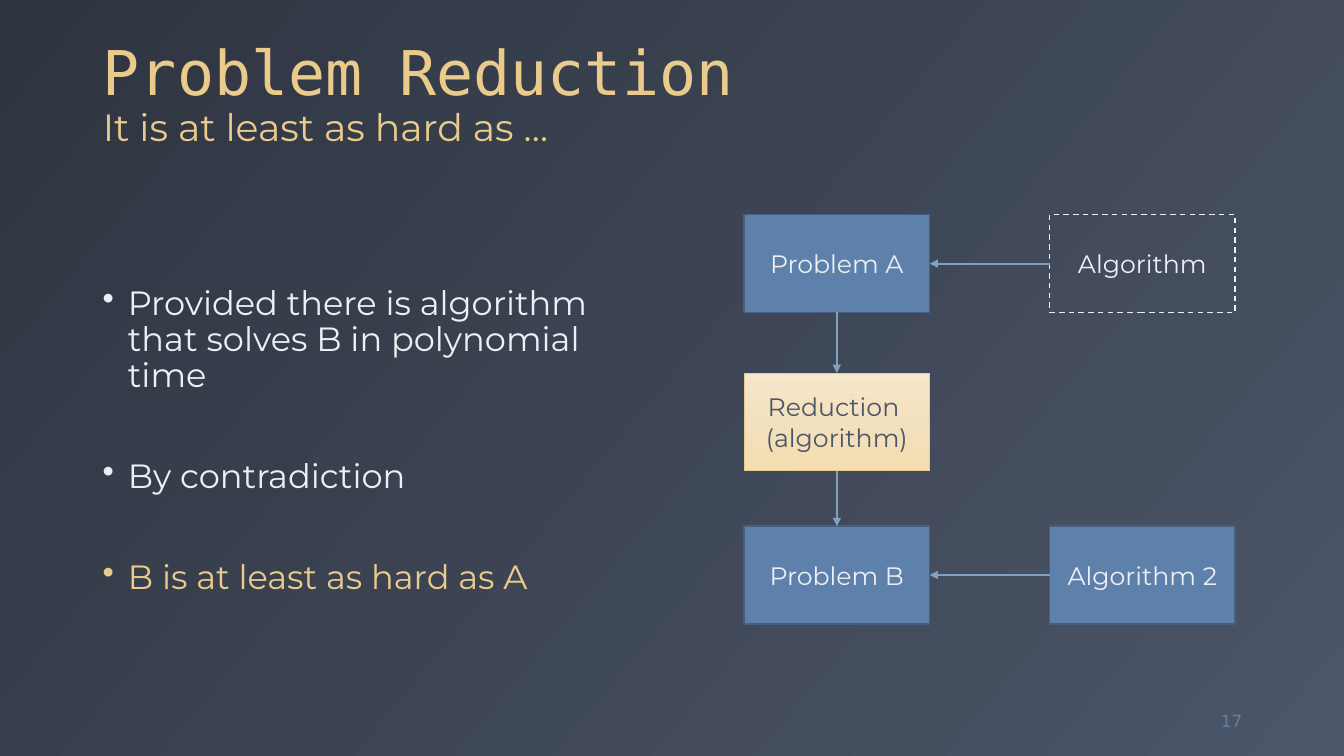
import copy
from dataclasses import dataclass

import lxml.etree
import pptx
import pptx.dml.color
import pptx.enum.dml
import pptx.enum.shapes
import pptx.enum.text
import pptx.oxml.ns
import pptx.util

PX = 9144
GOLD, SNOW, BLUE, SLATE = "EBCB8B", "ECEFF3", "5E81AC", "4C5669"
BLUE_EDGE, ARROW_BLUE = "465F7F", "81A1C1"
SANS, MONO, NUMBER_FONT = "Montserrat", "DejaVu Sans Mono", "DejaVu Sans"
CREAM = [(0, "F7E7CB"), (50, "F3E0BC"), (100, "F4DDB1")]
BACKDROP = [(0, "2E3440"), (100, SLATE)]
BOX_WIDTH, BOX_HEIGHT = 184, 97
LEFT_COLUMN, RIGHT_COLUMN = 738, 1041
TOP_ROW, MIDDLE_ROW, BOTTOM_ROW = 213, 370, 522
TOP, LEFT, BOTTOM, RIGHT = range(4)


@dataclass(frozen=True)
class Box:
    label: str
    left: int
    top: int
    fill: str | list[tuple[int, str]] | None = BLUE
    edge: str = BLUE_EDGE
    edge_width: float = 1
    ink: str = SNOW
    dashed: bool = False


@dataclass(frozen=True)
class Arrow:
    source: str
    source_side: int
    target: str
    target_side: int


BOXES = [
    Box("Problem A", LEFT_COLUMN, TOP_ROW),
    Box("Algorithm", RIGHT_COLUMN, TOP_ROW, fill=None, edge=SNOW, dashed=True),
    Box("Problem B", LEFT_COLUMN, BOTTOM_ROW),
    Box("Algorithm 2", RIGHT_COLUMN, BOTTOM_ROW),
    Box("Reduction \n(algorithm)", LEFT_COLUMN, MIDDLE_ROW,
        fill=CREAM, edge=GOLD, edge_width=0.5, ink=SLATE),
]
ARROWS = [
    Arrow("Algorithm 2", LEFT, "Problem B", RIGHT),
    Arrow("Algorithm", LEFT, "Problem A", RIGHT),
    Arrow("Problem A", BOTTOM, "Reduction \n(algorithm)", TOP),
    Arrow("Reduction \n(algorithm)", BOTTOM, "Problem B", TOP),
]
POINTS = [
    ("Provided there is algorithm that solves B in polynomial time", SNOW),
    ("By contradiction", SNOW),
    ("B is at least as hard as A", GOLD),
]


def rgb(color: str) -> pptx.dml.color.RGBColor:
    return pptx.dml.color.RGBColor.from_string(color)


def style_font(font, name: str, size: int, color: str) -> None:
    font.name = name
    font.size = pptx.util.Pt(size)
    font.color.rgb = rgb(color)


def fill_gradient(fill, owner, stops: list[tuple[int, str]], angle: int) -> None:
    fill.gradient()
    fill.gradient_angle = angle
    stop_list = owner.xpath(".//a:gsLst")[0]
    for _ in stops[2:]:
        stop_list.append(copy.deepcopy(stop_list[-1]))
    for stop, (position, color) in zip(fill.gradient_stops, stops):
        stop.position = position / 100
        stop.color.rgb = rgb(color)


def add_text_area(slide, left: int, top: int, width: int, height: int):
    area = slide.shapes.add_textbox(left * PX, top * PX, width * PX, height * PX)
    frame = area.text_frame
    frame.word_wrap = True
    frame.vertical_anchor = pptx.enum.text.MSO_ANCHOR.MIDDLE
    return frame


def add_title(slide) -> None:
    title = slide.shapes.title
    title.left, title.top, title.width, title.height = 92 * PX, 18 * PX, 1150 * PX, 136 * PX
    frame = title.text_frame
    frame.text = "Problem Reduction\vIt is at least as hard as …"
    frame.auto_size = pptx.enum.text.MSO_AUTO_SIZE.NONE
    frame.vertical_anchor = pptx.enum.text.MSO_ANCHOR.BOTTOM
    heading = frame.paragraphs[0]
    heading.alignment = pptx.enum.text.PP_ALIGN.LEFT
    heading.line_spacing = 0.9
    main_line, subtitle = heading.runs
    style_font(main_line.font, MONO, 44, GOLD)
    style_font(subtitle.font, SANS, 27, GOLD)


def add_points(slide) -> None:
    frame = add_text_area(slide, 92, 200, 567, 476)
    frame.text = "\n".join(text for text, _ in POINTS)
    for index, (point, (_, color)) in enumerate(zip(frame.paragraphs, POINTS)):
        point.line_spacing = 0.9
        if index:
            point.space_before = pptx.util.Pt(46)
        properties = point._p.get_or_add_pPr()
        properties.set("marL", str(25 * PX))
        properties.set("indent", str(-25 * PX))
        bullet = lxml.etree.SubElement(properties, pptx.oxml.ns.qn("a:buChar"))
        bullet.set("char", "•")
        style_font(point.runs[0].font, SANS, 24, color)


def add_page_number(slide) -> None:
    frame = add_text_area(slide, 1159, 695, 83, 40)
    frame.text = "17"
    number = frame.paragraphs[0]
    number.alignment = pptx.enum.text.PP_ALIGN.RIGHT
    style_font(number.runs[0].font, NUMBER_FONT, 12, BLUE)


def add_box(slide, box: Box):
    shape = slide.shapes.add_shape(
        pptx.enum.shapes.MSO_SHAPE.RECTANGLE,
        box.left * PX, box.top * PX, BOX_WIDTH * PX, BOX_HEIGHT * PX)
    shape.shadow.inherit = False
    if box.fill is None:
        shape.fill.background()
    elif isinstance(box.fill, str):
        shape.fill.solid()
        shape.fill.fore_color.rgb = rgb(box.fill)
    else:
        fill_gradient(shape.fill, shape._element, box.fill, 270)
    shape.line.color.rgb = rgb(box.edge)
    shape.line.width = pptx.util.Pt(box.edge_width)
    if box.dashed:
        shape.line.dash_style = pptx.enum.dml.MSO_LINE.DASH
    shape.text_frame.text = box.label
    shape.text_frame.vertical_anchor = pptx.enum.text.MSO_ANCHOR.MIDDLE
    for label_line in shape.text_frame.paragraphs:
        label_line.alignment = pptx.enum.text.PP_ALIGN.CENTER
        style_font(label_line.runs[0].font, SANS, 18, box.ink)
    return shape


def add_arrow(slide, arrow: Arrow, shapes: dict) -> None:
    connector = slide.shapes.add_connector(
        pptx.enum.shapes.MSO_CONNECTOR.STRAIGHT, 0, 0, 0, 0)
    connector.begin_connect(shapes[arrow.source], arrow.source_side)
    connector.end_connect(shapes[arrow.target], arrow.target_side)
    connector.line.color.rgb = rgb(ARROW_BLUE)
    connector.line.width = pptx.util.Pt(1.5)
    properties = connector._element.spPr
    head = lxml.etree.SubElement(
        properties.find(pptx.oxml.ns.qn("a:ln")), pptx.oxml.ns.qn("a:tailEnd"))
    head.set("type", "triangle")
    lxml.etree.SubElement(properties, pptx.oxml.ns.qn("a:effectLst"))


def main() -> None:
    presentation = pptx.Presentation()
    presentation.slide_width = 1333 * PX
    presentation.slide_height = 750 * PX
    slide = presentation.slides.add_slide(presentation.slide_layouts[5])
    fill_gradient(slide.background.fill, slide._element, BACKDROP, 320)
    add_title(slide)
    add_points(slide)
    add_page_number(slide)
    shapes = {box.label: add_box(slide, box) for box in BOXES}
    for arrow in ARROWS:
        add_arrow(slide, arrow, shapes)
    presentation.save("out.pptx")


if __name__ == "__main__":
    main()
